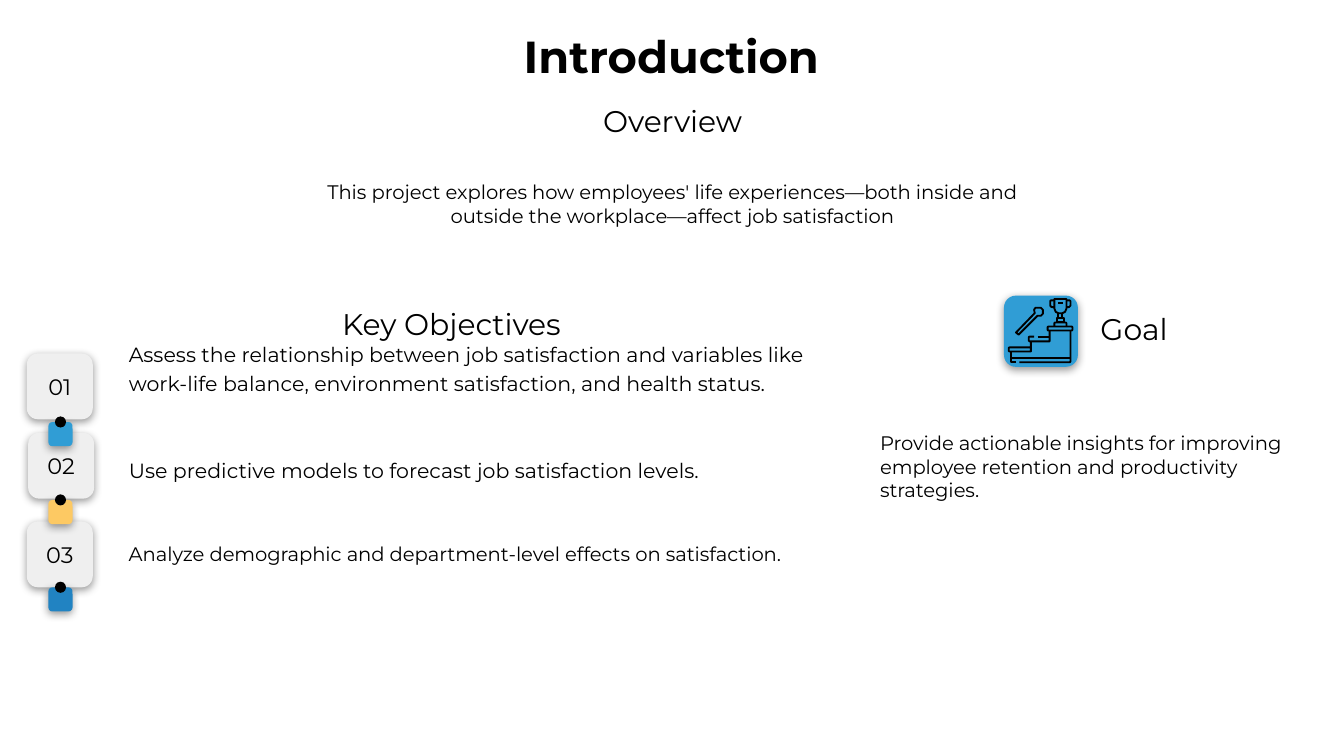
from dataclasses import dataclass

from pptx import Presentation
from pptx import util as u
from pptx.dml.color import RGBColor
from pptx.enum import shapes, text
from pptx.oxml import parse_xml
from pptx.oxml.ns import nsdecls, qn

PX = 9144  # EMU: 100 px to the inch


@dataclass(frozen=True)
class Theme:
    font: str = "Montserrat"
    ink: RGBColor = RGBColor(0, 0, 0)
    card: RGBColor = RGBColor.from_string("EFEFEF")
    blue: RGBColor = RGBColor.from_string("309DD5")
    yellow: RGBColor = RGBColor.from_string("FDC963")
    deep_blue: RGBColor = RGBColor.from_string("2183C2")
    title: float = 24
    heading: float = 16
    number: float = 12
    objective: float = 11
    body: float = 10.5


theme = Theme()
LEFT, CENTER = text.PP_ALIGN.LEFT, text.PP_ALIGN.CENTER
TOP, MIDDLE, BOTTOM = text.MSO_ANCHOR.TOP, text.MSO_ANCHOR.MIDDLE, text.MSO_ANCHOR.BOTTOM


def write(shape, words, size, align=LEFT, anchor=TOP, bold=False):
    frame = shape.text_frame
    frame.word_wrap = True
    frame.auto_size = text.MSO_AUTO_SIZE.NONE
    frame.vertical_anchor = anchor
    frame.margin_left = frame.margin_right = 10 * PX
    frame.margin_top = frame.margin_bottom = 10 * PX
    paragraph = frame.paragraphs[0]
    paragraph.text = words
    paragraph.alignment = align
    paragraph.font.name = theme.font
    paragraph.font.size = u.Pt(size)
    paragraph.font.bold = bold
    paragraph.font.color.rgb = theme.ink
    return paragraph


def add_tile(left, top, width, height, color):
    """Add a rounded tile with a soft shadow below it."""
    tile = slide.shapes.add_shape(
        shapes.MSO_SHAPE.ROUNDED_RECTANGLE, left * PX, top * PX, width * PX, height * PX)
    tile.fill.solid()
    tile.fill.fore_color.rgb = color
    tile.line.fill.background()
    tile.shadow.inherit = False
    tile._element.spPr.find(qn("a:effectLst")).append(parse_xml(
        f'<a:outerShdw {nsdecls("a")} blurRad="57150" dist="19050" dir="5400000" '
        'algn="bl" rotWithShape="0"><a:srgbClr val="000000"><a:alpha val="40000"/>'
        '</a:srgbClr></a:outerShdw>'))
    return tile


presentation = Presentation()
presentation.slide_width = 1000 * PX
presentation.slide_height = presentation.slide_width * 9 // 16
slide = presentation.slides.add_slide(presentation.slide_layouts[5])

title = slide.shapes.title
title.left, title.top, title.width, title.height = (n * PX for n in (49, 11, 901, 61))
write(title, "Introduction", theme.title, CENTER, bold=True)

# Headings and passages: box, words, size, alignment, anchor
for box, words, size, align, anchor in (
    ((339, 77, 323, 36), "Overview", theme.heading, CENTER, BOTTOM),
    ((224, 124, 553, 53),
     "This project explores how employees' life experiences—both inside and "
     "outside the workplace—affect job satisfaction", theme.body, CENTER, TOP),
    ((44, 228, 584, 36), "Key Objectives", theme.heading, CENTER, BOTTOM),
    ((809, 223, 84, 45), "Goal", theme.heading, LEFT, BOTTOM),
    ((645, 311, 351, 73),
     "Provide actionable insights for improving employee retention and "
     "productivity strategies.", theme.body, LEFT, TOP),
):
    textbox = slide.shapes.add_textbox(*(n * PX for n in box))
    write(textbox, words, size, align, anchor)

# Objectives: number, card left and top, tab top and colour, text box, words, size
objectives = (
    ("01", 20, 263, 314, theme.blue, (86, 242, 541, 88),
     "Assess the relationship between job satisfaction and variables like "
     "work-life balance, environment satisfaction, and health status.", theme.objective),
    ("02", 21, 322, 372, theme.yellow, (86, 328, 519, 39),
     "Use predictive models to forecast job satisfaction levels.", theme.objective),
    ("03", 20, 388, 437, theme.deep_blue, (86, 393, 553, 38),
     "Analyze demographic and department-level effects on satisfaction.", theme.body),
)
for number, left, top, *_ in objectives:
    write(add_tile(left, top, 49, 49, theme.card), number, theme.number, CENTER, MIDDLE)

for _, _, _, tab_top, color, box, words, size in objectives:
    add_tile(36, tab_top, 18, 18, color)
    pin = slide.shapes.add_connector(
        shapes.MSO_CONNECTOR.STRAIGHT, 45 * PX, (tab_top - 1) * PX, 45 * PX, tab_top * PX)
    pin.line.color.rgb = theme.ink
    pin.line.width = u.Pt(0.75)
    pin.line._get_or_add_ln().append(parse_xml(f'<a:tailEnd {nsdecls("a")} type="oval"/>'))
    pin._element.spPr.append(parse_xml(f'<a:effectLst {nsdecls("a")}/>'))

    textbox = slide.shapes.add_textbox(*(n * PX for n in box))
    paragraph = write(textbox, words, size)
    if size == theme.objective:
        paragraph.line_spacing = 1.15
        paragraph.space_before = paragraph.space_after = u.Pt(12)

# Goal icon: strokes on a grid of half px, measured from the icon's corner
add_tile(747, 220, 55, 53, theme.blue)
ICON_LEFT, ICON_TOP = 750, 222
icon_strokes = (
    ([(60, 42), (95, 42), (96, 43), (96, 47), (95, 48), (60, 48), (59, 47), (59, 43)], True),
    ([(44, 57), (62, 57)], False),
    ([(62, 48), (62, 64), (32, 64), (31, 63), (31, 58), (32, 57), (39, 57)], False),
    ([(34, 64), (34, 79), (2, 79), (1, 78), (1, 74), (2, 73), (34, 73)], False),
    ([(12, 95), (5, 95), (5, 79)], False),
    ([(17, 95), (92, 95), (93, 94), (93, 48)], False),
    ([(5, 89), (93, 89)], False),
    ([(69, 1), (87, 1), (87, 15), (85, 20), (81, 22), (75, 22), (71, 20), (69, 15)], True),
    ([(69, 3), (64, 3), (63, 4), (63, 11), (65, 13), (69, 13)], False),
    ([(87, 3), (92, 3), (93, 4), (93, 11), (91, 13), (87, 13)], False),
    ([(75, 7), (82, 7)], False),
    ([(75, 22), (75, 29), (81, 29), (81, 22)], False),
    ([(73, 29), (83, 29), (83, 35), (73, 35)], True),
    ([(69, 41), (69, 37), (70, 36), (86, 36), (87, 37), (87, 41)], False),
    ([(12, 51), (40, 22), (39, 17), (41, 14), (49, 14), (52, 17), (52, 23),
      (49, 26), (44, 26), (16, 54)], True),
)
for points, closed in icon_strokes:
    builder = slide.shapes.build_freeform(*points[0], scale=PX / 2)
    builder.add_line_segments(points[1:], close=closed)
    stroke = builder.convert_to_shape(ICON_LEFT * PX, ICON_TOP * PX)
    stroke.fill.background()
    stroke.line.color.rgb = theme.ink
    stroke.line.width = u.Pt(1)
    stroke.shadow.inherit = False

presentation.save("out.pptx")
